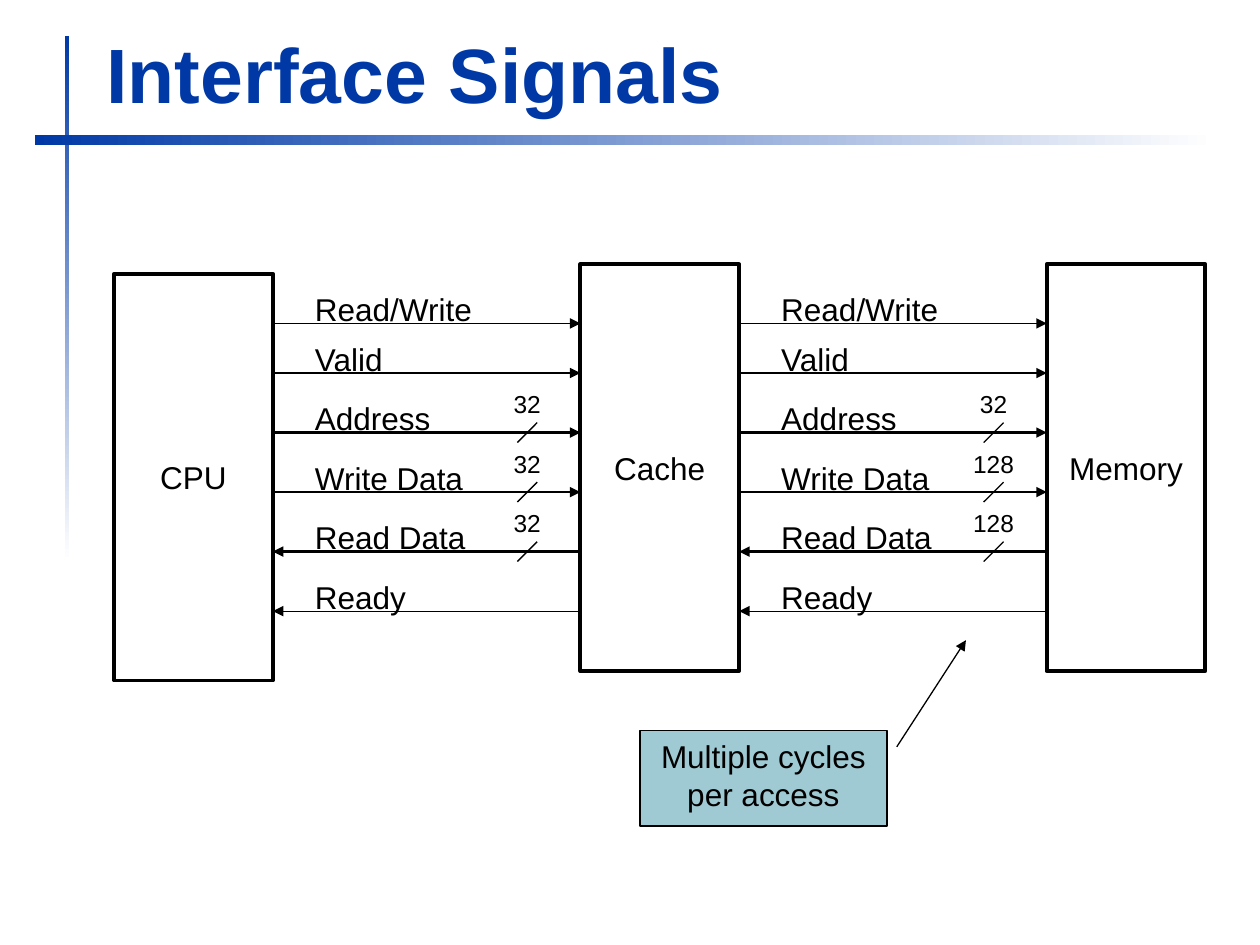
"""Build the slide that shows the interface signals between CPU, cache and memory."""
from dataclasses import dataclass

from lxml import etree
from pptx import Presentation
from pptx.dml.color import RGBColor
from pptx.enum.shapes import MSO_CONNECTOR, MSO_SHAPE
from pptx.enum.text import MSO_ANCHOR, MSO_AUTO_SIZE, PP_ALIGN
from pptx.oxml.ns import qn
from pptx.util import Cm, Pt

STRAIGHT = MSO_CONNECTOR.STRAIGHT
RECTANGLE = MSO_SHAPE.RECTANGLE
CALLOUT = MSO_SHAPE.LINE_CALLOUT_1
TOP, MIDDLE, BOTTOM = MSO_ANCHOR.TOP, MSO_ANCHOR.MIDDLE, MSO_ANCHOR.BOTTOM
LEFT, CENTER = PP_ALIGN.LEFT, PP_ALIGN.CENTER
GROW = MSO_AUTO_SIZE.SHAPE_TO_FIT_TEXT

COLORS = {"accent": "0039A6", "paper": "FFFFFF", "ink": "000000", "note": "9FCAD3"}
FORMATS = {
    "title": {"size": Pt(44), "bold": True, "name": "Arial"},
    "body": {"size": Pt(18), "name": "Arial"},
    "width": {"size": Pt(14), "name": "Arial"},
}
BLOCK_WIDTH, BLOCK_HEIGHT, BLOCK_PITCH = 3.2, 8.2, 9.4
FIRST_BLOCK_LEFT = 2.3
BUS_LENGTH = BLOCK_PITCH - BLOCK_WIDTH
THIN, THICK = 0.75, 1.5
SLASH_CENTER, SLASH_REACH = 5.13, 0.2


@dataclass(frozen=True)
class Block:
    """A unit of the memory system."""
    name: str
    top: float


@dataclass(frozen=True)
class Signal:
    """A signal line with the bit widths of its two buses."""
    name: str
    label_width: float
    y: float
    end: str
    bits: tuple[str, str] | None = None


BLOCKS = [Block("CPU", 5.52), Block("Cache", 5.33), Block("Memory", 5.33)]
SIGNALS = [
    Signal("Read/Write", 3.7, 6.52, "tailEnd"),
    Signal("Valid", 1.95, 7.52, "tailEnd"),
    Signal("Address", 2.86, 8.72, "tailEnd", ("32", "32")),
    Signal("Write Data", 3.53, 9.92, "tailEnd", ("32", "128")),
    Signal("Read Data", 3.58, 11.12, "headEnd", ("32", "128")),
    Signal("Ready", 2.36, 12.32, "headEnd"),
]


def color(name: str) -> RGBColor:
    """Look up a colour by its name."""
    return RGBColor.from_string(COLORS[name])


def write(shape, text: str, style: str, ink: str = "ink", align=CENTER, **frame_values) -> None:
    """Put one formatted paragraph into a shape."""
    frame = shape.text_frame
    for key, value in frame_values.items():
        setattr(frame, key, value)
    para = frame.paragraphs[0]
    para.alignment = align
    span = para.add_run()
    span.text = text
    for key, value in FORMATS[style].items():
        setattr(span.font, key, value)
    span.font.color.rgb = color(ink)


def add_text(page, left: float, top: float, width: float, height: float, text: str,
             style: str, **options) -> None:
    """Add a text box."""
    box = page.shapes.add_textbox(Cm(left), Cm(top), Cm(width), Cm(height))
    write(box, text, style, **options)


def add_box(page, kind, left: float, top: float, width: float, height: float):
    """Add a preset shape without a shadow."""
    box = page.shapes.add_shape(kind, Cm(left), Cm(top), Cm(width), Cm(height))
    box.shadow.inherit = False
    return box


def set_outline(shape, weight: float, arrow_end: str | None = None) -> None:
    """Give a shape a black line, with an arrowhead where one is named."""
    shape.line.color.rgb = color("ink")
    shape.line.width = Pt(weight)
    if arrow_end:
        outline = shape.line._get_or_add_ln()
        etree.SubElement(outline, qn(f"a:{arrow_end}"), type="triangle")


def add_line(page, start: tuple[float, float], end: tuple[float, float], weight: float,
             arrow_end: str | None = None) -> None:
    """Add a straight connector without a shadow."""
    line = page.shapes.add_connector(STRAIGHT, *map(Cm, start + end))
    set_outline(line, weight, arrow_end)
    etree.SubElement(line._element.spPr, qn("a:effectLst"))


def add_gradient_bar(page, left: float, top: float, width: float, height: float,
                     angle: int) -> None:
    """Add a bar that fades to the page colour."""
    bar = add_box(page, RECTANGLE, left, top, width, height)
    bar.line.fill.background()
    bar.fill.gradient()
    bar.fill.gradient_angle = angle
    for stop, name in zip(bar.fill.gradient_stops, ("accent", "paper")):
        stop.color.rgb = color(name)


def add_block(page, block: Block, left: float) -> None:
    """Add an outlined block with its name."""
    box = add_box(page, RECTANGLE, left, block.top, BLOCK_WIDTH, BLOCK_HEIGHT)
    box.fill.background()
    set_outline(box, 2.25)
    write(box, block.name, "body", vertical_anchor=MIDDLE, word_wrap=False)


def add_signal(page, signal: Signal, bus: int) -> None:
    """Add a signal arrow, its label and its bit width."""
    left = FIRST_BLOCK_LEFT + BLOCK_WIDTH + bus * BLOCK_PITCH
    y = signal.y
    weight = THICK if signal.bits else THIN
    add_line(page, (left, y), (left + BUS_LENGTH, y), weight, signal.end)
    add_text(page, left + 0.6, y - 0.8, signal.label_width, 1.02, signal.name, "body",
             align=LEFT, word_wrap=False, auto_size=GROW)
    if signal.bits:
        bits = signal.bits[bus]
        middle = left + SLASH_CENTER
        width = 0.6 + 0.27 * len(bits)
        add_line(page, (middle - SLASH_REACH, y + SLASH_REACH),
                 (middle + SLASH_REACH, y - SLASH_REACH), THIN)
        add_text(page, middle - width / 2, y - 1, width, 0.84, bits, "width",
                 word_wrap=False, auto_size=GROW)


def add_note(page) -> None:
    """Add the callout that points at the memory bus."""
    note = add_box(page, CALLOUT, 12.9, 14.73, 4.98, 1.92)
    for index, value in enumerate((0.17, 1.04, -0.95, 1.32)):
        note.adjustments[index] = value
    note.fill.solid()
    note.fill.fore_color.rgb = color("note")
    set_outline(note, THIN, "tailEnd")
    write(note, "Multiple cycles per access", "body", vertical_anchor=TOP, word_wrap=True)


def main() -> None:
    """Build and save the deck."""
    deck = Presentation()
    deck.slide_width, deck.slide_height = Cm(25.4), Cm(19.05)
    page = deck.slides.add_slide(deck.slide_layouts[6])
    add_gradient_bar(page, 1.31, 0.72, 0.09, 10.59, 270)
    add_gradient_bar(page, 0.7, 2.72, 23.8, 0.2, 0)
    add_text(page, 1.9, 0.41, 22.94, 2.11, "Interface Signals", "title", ink="accent",
             align=LEFT, vertical_anchor=BOTTOM, word_wrap=True)
    for index, block in enumerate(BLOCKS):
        add_block(page, block, FIRST_BLOCK_LEFT + index * BLOCK_PITCH)
    for bus in range(len(BLOCKS) - 1):
        for signal in SIGNALS:
            add_signal(page, signal, bus)
    add_note(page)
    deck.save("out.pptx")


if __name__ == "__main__":
    main()
